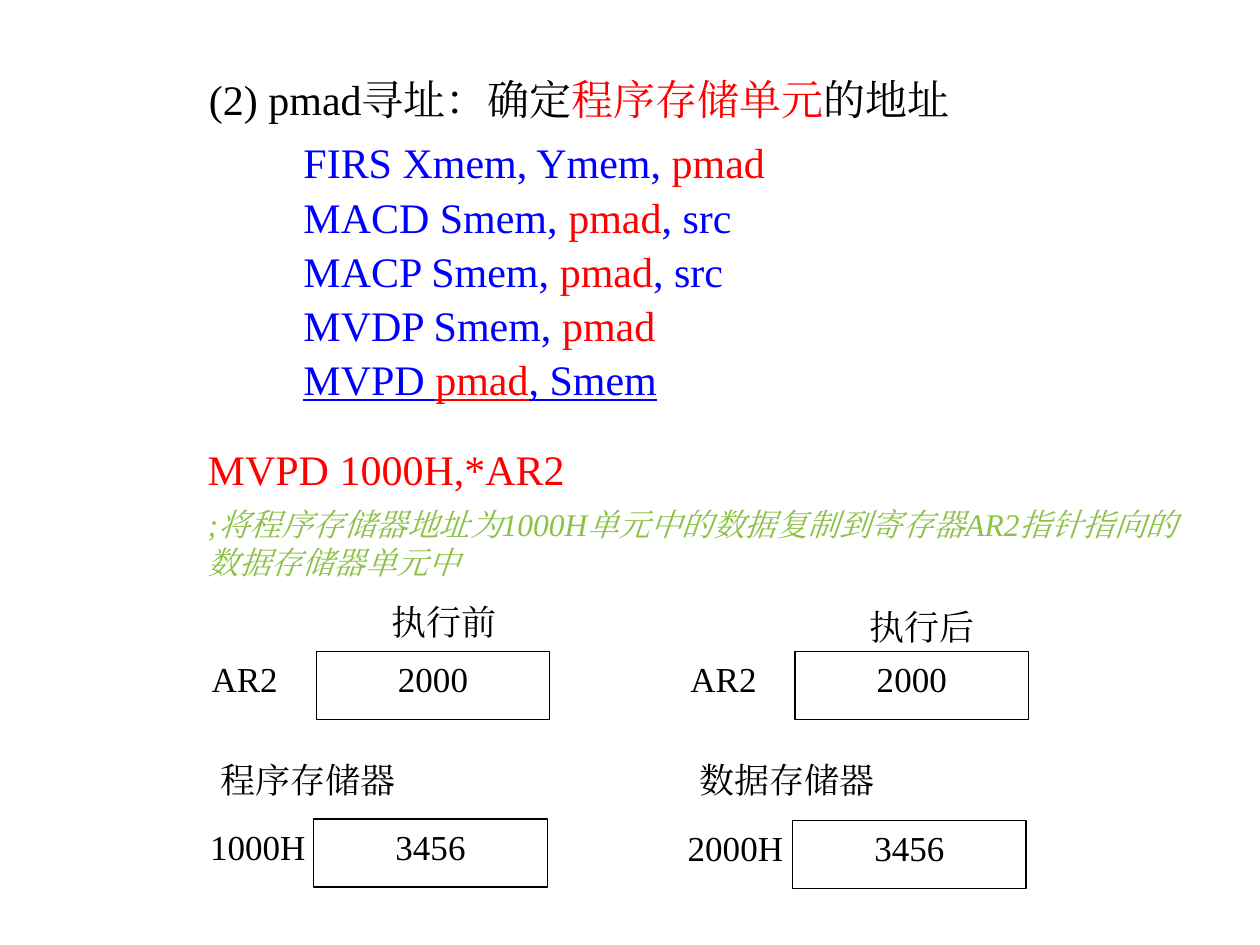
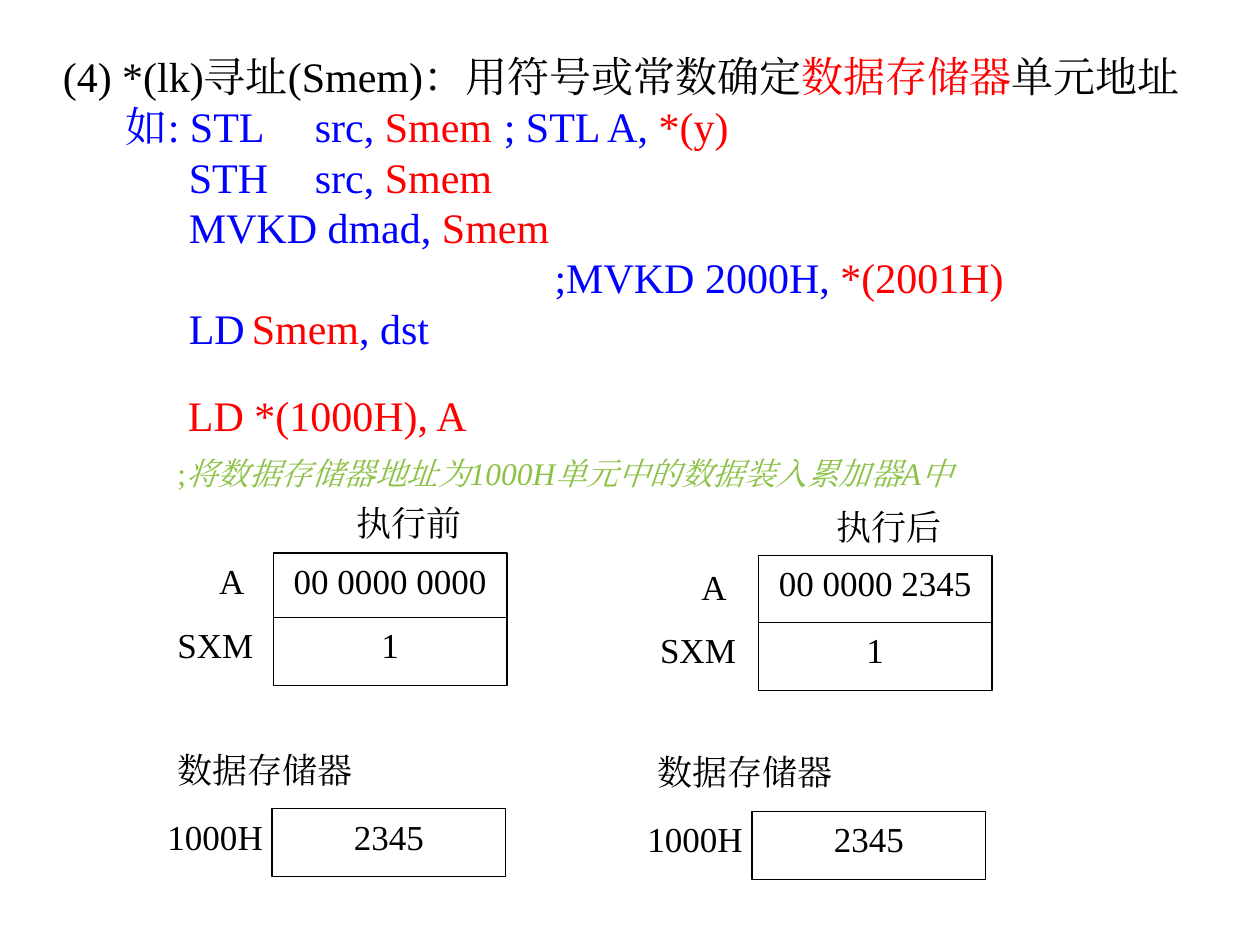
from dataclasses import dataclass

from lxml.etree import SubElement
from pptx import Presentation
from pptx.dml.color import RGBColor
from pptx.enum.lang import MSO_LANGUAGE_ID as Language
from pptx.enum.shapes import MSO_SHAPE as ShapeKind
from pptx.enum.text import MSO_ANCHOR as Anchor, PP_ALIGN as Align
from pptx.oxml.ns import qn
from pptx.util import Pt

BLACK, WHITE, RED, BLUE, GREEN = "000000", "FFFFFF", "FF0000", "0000FF", "8BC145"
FONT = "Times New Roman"
CODE_SIZE, NOTE_SIZE, LABEL_SIZE = 24, 18, 20
CELL_WIDTH, ROW_HEIGHT = 133.5, 38.9
LABEL_WIDTH, CAPTION_WIDTH = 89.3, 119.2


@dataclass
class Run:
    text: str
    color: str = BLACK
    underline: bool = False
    italic: bool = False


@dataclass
class Line:
    runs: list[Run]
    size: float = CODE_SIZE
    indent: float = 0
    spacing: float = 1.0
    before: float = 0
    after: float = 0
    tabs: tuple[float, ...] = ()


@dataclass
class Caption:
    text: str
    left: float
    top: float


@dataclass
class Register:
    name: str
    value: str
    name_left: float
    name_top: float
    cell_left: float
    cell_top: float


def rgb(color: str) -> RGBColor:
    return RGBColor.from_string(color)


def add_tabs(paragraph, positions: tuple[float, ...]) -> None:
    tab_list = SubElement(paragraph._p.get_or_add_pPr(), qn("a:tabLst"))
    for position in positions:
        SubElement(tab_list, qn("a:tab"), pos=str(Pt(position)), algn="l")


def add_run(paragraph, text: str, *, size: float, color: str = BLACK,
            underline: bool = False, italic: bool = False) -> None:
    run = paragraph.add_run()
    run.text = text
    font = run.font
    font.name, font.size = FONT, Pt(size)
    font.color.rgb = rgb(color)
    font.language_id = Language.SIMPLIFIED_CHINESE
    if underline:
        font.underline = True
    if italic:
        font.italic = True
    SubElement(run._r.get_or_add_rPr(), qn("a:ea"), typeface=FONT)


def write_lines(shape, lines: list[Line], align: Align = Align.LEFT, side_inset: float = 7.2) -> None:
    frame = shape.text_frame
    frame.word_wrap = True
    frame.vertical_anchor = Anchor.TOP
    frame.margin_left = frame.margin_right = Pt(side_inset)
    frame.margin_top = frame.margin_bottom = Pt(3.6)
    for index, line in enumerate(lines):
        paragraph = frame.add_paragraph() if index else frame.paragraphs[0]
        if line.tabs:
            add_tabs(paragraph, line.tabs)
        if line.indent:
            properties = paragraph._p.get_or_add_pPr()
            properties.set("marL", "0")
            properties.set("indent", str(Pt(line.indent)))
        paragraph.alignment = align
        paragraph.line_spacing = line.spacing
        paragraph.space_before, paragraph.space_after = Pt(line.before), Pt(line.after)
        for run in line.runs:
            add_run(paragraph, run.text, size=line.size, color=run.color,
                    underline=run.underline, italic=run.italic)


def add_text_box(slide, left: float, top: float, width: float, height: float, lines: list[Line]) -> None:
    box = slide.shapes.add_textbox(Pt(left), Pt(top), Pt(width), Pt(height))
    write_lines(box, lines)


def add_caption(slide, caption: Caption, width: float = CAPTION_WIDTH) -> None:
    add_text_box(slide, caption.left, caption.top, width, ROW_HEIGHT,
                 [Line([Run(caption.text)], LABEL_SIZE)])


def add_register(slide, register: Register) -> None:
    add_caption(slide, Caption(register.name, register.name_left, register.name_top), LABEL_WIDTH)
    cell = slide.shapes.add_shape(ShapeKind.RECTANGLE, Pt(register.cell_left), Pt(register.cell_top),
                                  Pt(CELL_WIDTH), Pt(ROW_HEIGHT))
    cell.shadow.inherit = False
    cell.fill.solid()
    cell.fill.fore_color.rgb = rgb(WHITE)
    cell.line.color.rgb = rgb(BLACK)
    cell.line.width = Pt(0.75)
    write_lines(cell, [Line([Run(register.value)], LABEL_SIZE)], Align.CENTER, 0)


def add_memory_state(slide, captions: list[Caption], registers: list[Register]) -> None:
    for caption in captions:
        add_caption(slide, caption)
    for register in registers:
        add_register(slide, register)


def build_pmad_slide(slide) -> None:
    title = Line([Run("(2) pmad寻址：确定"), Run("程序存储单元", RED), Run("的地址")], after=6)
    instructions = [
        ("FIRS Xmem, Ymem, ", ""),
        ("MACD Smem, ", ", src"),
        ("MACP Smem, ", ", src"),
        ("MVDP Smem, ", ""),
        ("MVPD ", ", Smem"),
    ]
    code = []
    for start, end in instructions:
        underline = start == "MVPD "
        parts = [(start, BLUE), ("pmad", RED), (end, BLUE)]
        runs = [Run(text, color, underline) for text, color in parts if text]
        code.append(Line(runs, indent=54, spacing=0.9, before=5))
    add_text_box(slide, 112.3, 38.2, 517.7, 309.6, [title, *code])
    add_text_box(slide, 111.6, 253.4, 581.8, 91.4, [
        Line([Run("MVPD 1000H,*AR2", RED)], spacing=0.9, after=6),
        Line([Run(";将程序存储器地址为1000H单元中的数据复制到寄存器AR2指针指向的数据存储器单元中",
                  GREEN, italic=True)], NOTE_SIZE),
    ])
    add_memory_state(slide, [
        Caption("执行前", 216.7, 339.8),
        Caption("执行后", 489.6, 342.7),
        Caption("程序存储器", 118.8, 429.8),
        Caption("数据存储器", 392.4, 429.8),
    ], [
        Register("AR2", "2000", 113.8, 372.2, 180.7, 372.2),
        Register("1000H", "3456", 113, 468, 179.3, 468),
        Register("AR2", "2000", 387.4, 372.2, 454.3, 372.2),
        Register("2000H", "3456", 385.9, 468.7, 452.9, 468.7),
    ])


def build_lk_slide(slide) -> None:
    code_indent, comment_indent = 72, 281
    add_text_box(slide, 28.8, 16.6, 680.4, 193, [
        Line([Run("(4) *(lk)寻址(Smem)：用符号或常数确定"), Run("数据存储器", RED), Run("单元地址")],
             spacing=1.3),
        Line([Run("如: STL\tsrc, ", BLUE), Run("Smem", RED), Run("\t; STL A, ", BLUE), Run("*(y)", RED)],
             indent=36, tabs=(132, comment_indent)),
        Line([Run("STH\tsrc, ", BLUE), Run("Smem", RED)], indent=code_indent, tabs=(129,)),
        Line([Run("MVKD dmad, ", BLUE), Run("Smem", RED)], indent=code_indent),
        Line([Run(";MVKD 2000H, ", BLUE), Run("*(2001H)", RED)], indent=comment_indent),
        Line([Run("LD\t", BLUE), Run("Smem", RED), Run(", dst", BLUE)], indent=code_indent, tabs=(121.5,)),
    ])
    add_text_box(slide, 94.3, 222.5, 566.6, 299.5, [
        Line([Run("LD *(1000H), A", RED)], indent=6, spacing=0.9),
        Line([Run(";", GREEN), Run("将数据存储器地址为1000H单元中的数据装入累加器A中", GREEN, italic=True)],
             NOTE_SIZE, spacing=0.9, before=10),
    ])
    add_memory_state(slide, [
        Caption("执行前", 196.6, 283),
        Caption("执行后", 470.9, 285.1),
        Caption("数据存储器", 94.3, 424.1),
        Caption("数据存储器", 368.6, 425.5),
    ], [
        Register("A", "00 0000 0000", 118.1, 316.1, 156.2, 316.1),
        Register("A", "00 0000 2345", 393.8, 319.7, 433.4, 317.5),
        Register("1000H", "2345", 88.6, 462.2, 155.5, 462.2),
        Register("1000H", "2345", 362.9, 463.7, 429.8, 463.7),
        Register("SXM", "1", 94.3, 352.8, 156.2, 352.8),
        Register("SXM", "1", 370.1, 355.7, 433.4, 355.7),
    ])


def main() -> None:
    presentation = Presentation()
    presentation.slide_width, presentation.slide_height = Pt(720), Pt(540)
    blank_layout = presentation.slide_layouts[6]
    for build_slide in (build_pmad_slide, build_lk_slide):
        build_slide(presentation.slides.add_slide(blank_layout))
    presentation.save("out.pptx")


if __name__ == "__main__":
    main()
